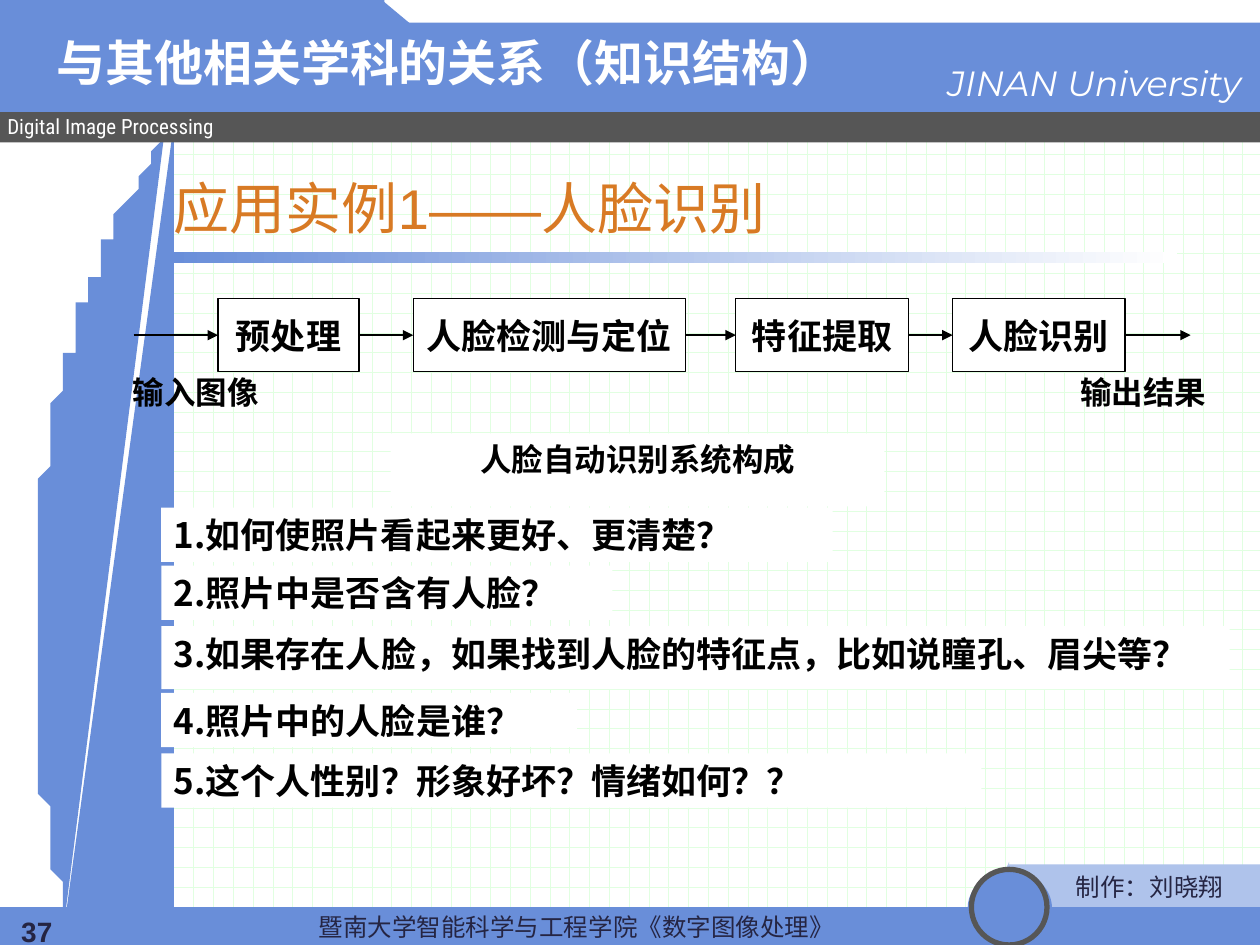
from lxml.etree import SubElement
from pptx import Presentation
from pptx.dml.color import RGBColor
from pptx.enum.dml import MSO_PATTERN
from pptx.enum.shapes import MSO_CONNECTOR, MSO_SHAPE
from pptx.enum.text import MSO_ANCHOR, PP_ALIGN
from pptx.oxml.ns import qn
from pptx.util import Pt

RECT, WEDGE, OVAL = MSO_SHAPE.RECTANGLE, MSO_SHAPE.RIGHT_TRIANGLE, MSO_SHAPE.OVAL
LEFT, MID, RIGHT = PP_ALIGN.LEFT, PP_ALIGN.CENTER, PP_ALIGN.RIGHT
BLUE, PALE, GREY, NAVY = "698ED9", "AFC3EB", "565656", "252543"
WHITE, BLACK = "FFFFFF", "000000"
SANS, SERIF, HAN = "Arial", "Times New Roman", "Noto Sans CJK SC"
hue = RGBColor.from_string

# The slide is a grid of 100 columns by 75 rows, each cell a tenth of an inch.
CELL = 91440
deck = Presentation()
deck.slide_width, deck.slide_height = 100 * CELL, 75 * CELL
slide = deck.slides.add_slide(deck.slide_layouts[6])
shapes = slide.shapes


def draw(kind, *cells, fill=None, line=None, width=0.75, flip=False):
    """Add a preset shape at left, top, width, height in grid cells."""
    item = shapes.add_shape(kind, *(round(c * CELL) for c in cells))
    item.shadow.inherit = False
    if fill:
        item.fill.solid()
        item.fill.fore_color.rgb = hue(fill)
    else:
        item.fill.background()
    if line:
        item.line.color.rgb = hue(line)
        item.line.width = Pt(width)
    else:
        item.line.fill.background()
    if flip:
        item._element.spPr.xfrm.set("flipH", "1")
    return item


def write(text, *cells, size=18, font=SERIF, color=BLACK, bold=False,
          slant=False, align=LEFT, anchor=MSO_ANCHOR.TOP, host=None, pad=True):
    """Put text in the host shape, or in a new text box at the given cells."""
    host = host or shapes.add_textbox(*(round(c * CELL) for c in cells))
    frame = host.text_frame
    frame.word_wrap = True
    frame.vertical_anchor = anchor
    if not pad:
        frame.margin_left = frame.margin_right = 0
        frame.margin_top = frame.margin_bottom = 0
    para = frame.paragraphs[0]
    para.alignment = align
    run = para.add_run()
    run.text = text
    run.font.size, run.font.name = Pt(size), font
    run.font.bold, run.font.italic = bold, slant
    run.font.color.rgb = hue(color)


# Dotted background
back = draw(RECT, 13.8, 6, 86.2, 69)
back.fill.patterned()
back.fill.pattern = MSO_PATTERN.DOTTED_GRID
back.fill.fore_color.rgb = hue("E1FFE1")
back.fill.back_color.rgb = hue(WHITE)

# Curved sail on the left: each row holds two control points and an end point
start = (13, 10.7)
bends = [
    ((12.4, 11.7), (10.7, 14.5), (9.8, 16.5)),
    ((8.8, 18.4), (8, 20.3), (7.3, 22.3)),
    ((6.5, 24.3), (5.9, 26), (5.3, 28.4)),
    ((4.7, 30.8), (4, 34), (3.6, 36.7)),
    ((3.2, 39.3), (3, 41.1), (2.8, 44.2)),
    ((2.7, 47.3), (2.5, 51.7), (2.7, 55.2)),
    ((2.8, 58.7), (3.2, 62.1), (3.7, 65.2)),
    ((4.2, 68.3), (5.1, 72), (5.4, 73.7)),
]
STEPS = 8
points, last = [], start
for one, two, end in bends:
    for step in range(1, STEPS + 1):
        t = step / STEPS
        u = 1 - t
        points.append([u**3 * a + 3 * u * u * t * b + 3 * u * t * t * c + t**3 * d
                       for a, b, c, d in zip(last, one, two, end)])
    last = end
pen = shapes.build_freeform(*start, scale=CELL)
pen.add_line_segments(points, close=True)
sail = pen.convert_to_shape()
sail.shadow.inherit = False
sail.fill.solid()
sail.fill.fore_color.rgb = hue(BLUE)
sail.line.fill.background()

# Header
draw(WEDGE, 4.9, 9.8, 8.9, 65.2, fill=BLUE, flip=True)
draw(RECT, 0, 1.8, 100, 9.1, fill=BLUE)
draw(WEDGE, 30.3, 0, 4.8, 4, fill=BLUE)
draw(RECT, 0, 0, 30.5, 4, fill=BLUE)
draw(RECT, 0, 8.9, 100, 2.4, fill=GREY)
rule = draw(RECT, 13.5, 20, 79.9, 0.9)
rule.fill.gradient()
rule.fill.gradient_angle = 0
for stop, color, place in zip(rule.fill.gradient_stops, (BLUE, WHITE), (0, 1)):
    stop.color.rgb = hue(color)
    stop.position = place
write("JINAN University", 70.5, 4.4, 29, 4.3, size=20, font="Montserrat",
      color=WHITE, slant=True, align=RIGHT)
write("Digital Image Processing", -0.4, 8.5, 43.7, 3, size=12,
      font="Roboto Condensed", color=WHITE)

# Footer
draw(WEDGE, 77.6, 68.4, 2.5, 5.3, fill=PALE, flip=True)
draw(RECT, 80.1, 68.6, 19.9, 5.1, fill=PALE)
draw(OVAL, 76.8, 69.1, 6.7, 6, fill=BLUE)
draw(RECT, 0, 72, 100, 3, fill=BLUE)
write("制作：刘晓翔", 84.4, 68.7, 14.9, 3.3, size=14, font=SANS, color=NAVY)
draw(OVAL, 77.1, 69, 6, 6, line=GREY, width=3)
write("暨南大学智能科学与工程学院《数字图像处理》", 24.3, 71.9, 44.7, 3.4,
      size=14, font=HAN, color=NAVY)
write("37", 0.7, 72.1, 9.9, 2.5, size=16, font=SANS, color=NAVY, bold=True)

# Titles
write("应用实例1——人脸识别", 12.8, 10.2, 76.1, 12.5, size=32, font=SANS,
      color="D87A24", anchor=MSO_ANCHOR.MIDDLE)
write("与其他相关学科的关系（知识结构）", 3.5, 2.1, 80.3, 5.7, size=28,
      font=SANS, color=WHITE, bold=True)

# Flow of steps, with an arrow into each and one out of the last
TOP, TALL = 23.7, 5.8
flow = [("预处理", 17.3, 11.2), ("人脸检测与定位", 32.8, 21.6),
        ("特征提取", 58.4, 13.7), ("人脸识别", 75.6, 13.7)]
tails = [10.6] + [left + wide for _, left, wide in flow]
heads = [left for _, left, _ in flow] + [94.5]
for name, left, wide in flow:
    step = draw(RECT, left, TOP, wide, TALL, fill=WHITE, line=BLACK)
    write(name, host=step, size=20, bold=True, align=MID,
          anchor=MSO_ANCHOR.MIDDLE, pad=False)
level = round((TOP + TALL / 2) * CELL)
for tail, head in zip(tails, heads):
    arrow = shapes.add_connector(MSO_CONNECTOR.STRAIGHT, round(tail * CELL), level,
                                 round(head * CELL), level)
    arrow.line.color.rgb = hue(BLACK)
    arrow.line.width = Pt(0.75)
    SubElement(arrow.line._get_or_add_ln(), qn("a:tailEnd"), type="triangle")
    SubElement(arrow._element.spPr, qn("a:effectLst"))
for label, left in (("输入图像", 8.7), ("输出结果", 83.9)):
    write(label, left, 29.1, 13.7, TALL, bold=True, align=MID)
note = draw(RECT, 31, 34.4, 39.2, TALL, fill=WHITE)
write("人脸自动识别系统构成", host=note, bold=True, align=MID)

# Questions
asks = [
    ("1.如何使照片看起来更好、更清楚？", 40.3, 53.3, 4.3),
    ("2.照片中是否含有人脸？", 44.9, 35.8, 4.3),
    ("3.如果存在人脸，如果找到人脸的特征点，比如说瞳孔、眉尖等？", 49.7, 84.8, 5),
    ("4.照片中的人脸是谁？", 55, 33, 4.3),
    ("5.这个人性别？形象好坏？情绪如何？？", 59.8, 65.1, 4.3),
]
for ask, top, wide, tall in asks:
    card = draw(RECT, 12.8, top, wide, tall, fill=WHITE)
    write(ask, host=card, size=20, font=HAN, bold=True)

deck.save("out.pptx")
